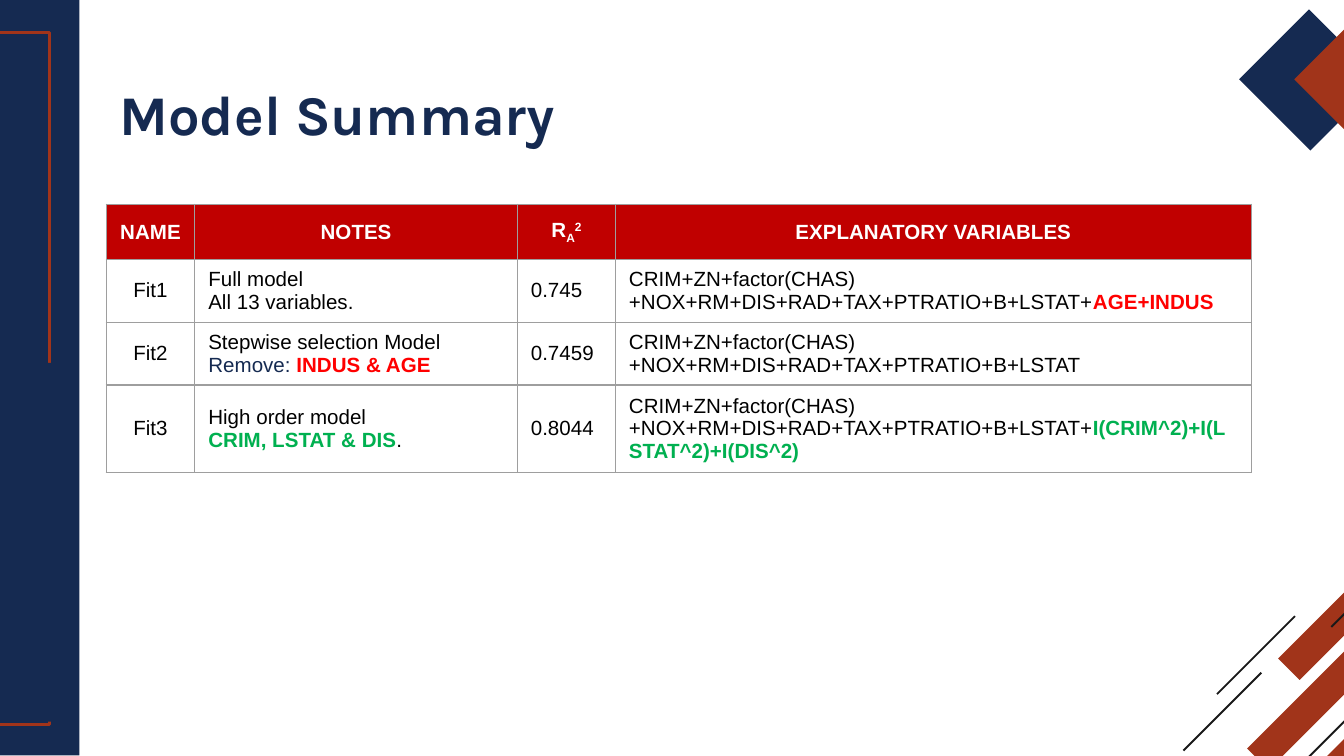
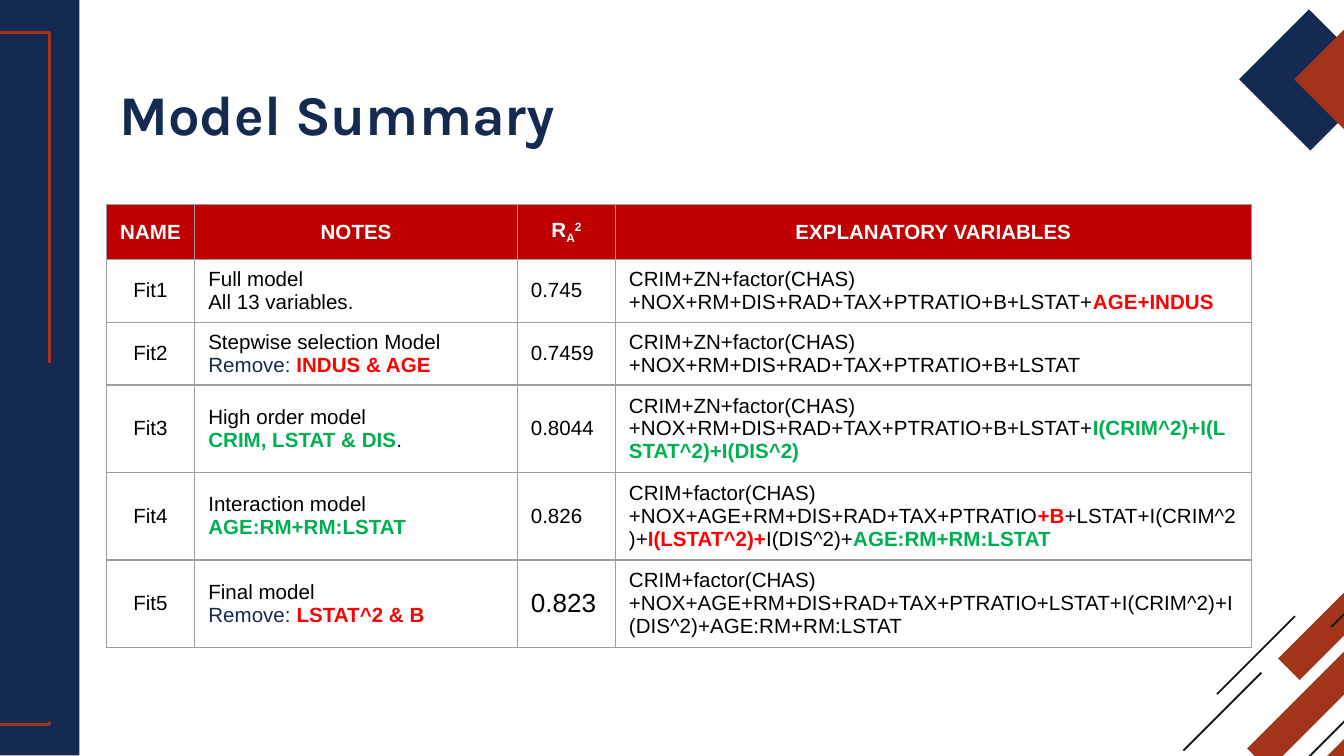
from lxml import etree
from pptx import Presentation
from pptx import util as u
from pptx.dml.color import RGBColor
from pptx.enum import shapes, text
from pptx.oxml.ns import qn

NAVY = RGBColor(0x15, 0x2A, 0x51)
RUST = RGBColor(0xA1, 0x34, 0x1A)
INK = RGBColor(0x19, 0x19, 0x19)
WHITE = RGBColor(0xFF, 0xFF, 0xFF)
BLACK = RGBColor(0, 0, 0)
HEADER_RED = RGBColor(0xC0, 0, 0)
GRID = RGBColor(0x9E, 0x9E, 0x9E)

PLAIN = {}
MUTED = {"color": NAVY}
REMOVED = {"color": RGBColor(0xFF, 0, 0), "bold": True}
ADDED = {"color": RGBColor(0, 0xB0, 0x50), "bold": True}

TITLE = "Model Summary"
HEADER = [
    [[("NAME", PLAIN)]],
    [[("NOTES", PLAIN)]],
    [[("R", PLAIN), ("A", {"baseline": -25}), ("2", {"baseline": 30})]],
    [[("EXPLANATORY VARIABLES", PLAIN)]],
]
BASE_MODEL = "CRIM+ZN+factor(CHAS)+NOX+RM+DIS+RAD+TAX+PTRATIO+B+LSTAT"
AGE_MODEL = "CRIM+factor(CHAS)+NOX+AGE+RM+DIS+RAD+TAX+PTRATIO"
FITS = [
    ("Fit1",
     [[("Full model", PLAIN)], [("All 13 variables.", PLAIN)]],
     ("0.745", PLAIN),
     [(BASE_MODEL + "+", PLAIN), ("AGE+INDUS", REMOVED)]),
    ("Fit2",
     [[("Stepwise selection Model", PLAIN)],
      [("Remove:", MUTED), (" INDUS & AGE", REMOVED)]],
     ("0.7459", PLAIN),
     [(BASE_MODEL, PLAIN)]),
    ("Fit3",
     [[("High order model", PLAIN)],
      [("CRIM, LSTAT & DIS", ADDED), (".", PLAIN)]],
     ("0.8044", PLAIN),
     [(BASE_MODEL + "+", PLAIN), ("I(CRIM^2)+I(LSTAT^2)+I(DIS^2)", ADDED)]),
    ("Fit4",
     [[("Interaction model", PLAIN)], [("AGE:RM+RM:LSTAT", ADDED)]],
     ("0.826", PLAIN),
     [(AGE_MODEL, PLAIN), ("+B", REMOVED), ("+LSTAT+I(CRIM^2)+", PLAIN),
      ("I(LSTAT^2)+", REMOVED), ("I(DIS^2)+", PLAIN), ("AGE:RM+RM:LSTAT", ADDED)]),
    ("Fit5",
     [[("Final model", PLAIN)],
      [("Remove: ", MUTED), ("LSTAT^2 & B", REMOVED)]],
     ("0.823", {"size": 14}),
     [(AGE_MODEL + "+LSTAT+I(CRIM^2)+I(DIS^2)+AGE:RM+RM:LSTAT", PLAIN)]),
]
PAGES = [(FITS[:3], 1.81), (FITS, 2.92)]

COLUMN_WIDTHS = [0.66, 2.4, 0.73, 4.73]
ROW_HEIGHTS = [0.41, 0.41, 0.41, 0.41, 0.41, 0.45]

SIDE_PANELS = [
    (-2.3, 0, 2.89, 5.62, NAVY, None),
    (-2.07, 0.24, 2.44, 5.15, None, RUST),
    (-1.18, 2.7, 1.62, 2.67, NAVY, None),
]
DIAGONALS = [
    (9.51, 4.2, 0.7, 0.16, RUST),
    (9.45, 5.35, 0.7, 0.16, RUST),
    (9.28, 4.03, 1.54, 0.16, RUST),
    (9.9, 4.08, 0.58, 0.01, INK),
    (8.8, 5, 0.58, 0.01, INK),
    (9.05, 4.58, 0.58, 0.01, INK),
    (9.05, 4.9, 1.41, 0.01, INK),
    (9.22, 0.07, 0.52, 0.53, NAVY),
    (9.63, 0.07, 0.52, 0.53, RUST),
]


def write(frame, paragraphs, font="Arial", size=11, color=BLACK, bold=False,
          align=text.PP_ALIGN.LEFT):
    for index, runs in enumerate(paragraphs):
        para = frame.add_paragraph() if index else frame.paragraphs[0]
        para.alignment = align
        for words, style in runs:
            span = para.add_run()
            span.text = words
            span.font.name = font
            span.font.size = u.Pt(style.get("size", size))
            span.font.bold = style.get("bold", bold)
            span.font.color.rgb = style.get("color", color)
            if "baseline" in style:
                span._r.get_or_add_rPr().set("baseline", str(style["baseline"] * 1000))


def paint(shape, fill, line=None):
    shape.shadow.inherit = False
    if fill is None:
        shape.fill.background()
    else:
        shape.fill.solid()
        shape.fill.fore_color.rgb = fill
    if line is None:
        shape.line.fill.background()
    else:
        shape.line.color.rgb = line
        shape.line.width = u.Pt(1.5)


def add_diagonal(page, left, top, run, thick, color):
    corners = [(left, top + run), (left + run, top),
               (left + run + thick, top + thick), (left + thick, top + run + thick)]
    points = [(u.Inches(x), u.Inches(y)) for x, y in corners]
    builder = page.shapes.build_freeform(*points[0])
    builder.add_line_segments(points[1:], close=True)
    paint(builder.convert_to_shape(), color)


def add_frame(page):
    for left, top, width, height, fill, line in SIDE_PANELS:
        panel = page.shapes.add_shape(
            shapes.MSO_SHAPE.RECTANGLE,
            u.Inches(left), u.Inches(top), u.Inches(width), u.Inches(height))
        paint(panel, fill, line)
    for diagonal in DIAGONALS:
        add_diagonal(page, *diagonal)
    box = page.shapes.add_textbox(
        u.Inches(0.79), u.Inches(0.49), u.Inches(8.43), u.Inches(0.63))
    frame = box.text_frame
    frame.word_wrap = True
    frame.margin_left = frame.margin_right = u.Inches(0.1)
    frame.margin_top = frame.margin_bottom = u.Inches(0.1)
    write(frame, [[(TITLE, PLAIN)]], font="Karla", size=30, color=NAVY, bold=True)


def style_cell(cell, fill):
    cell.vertical_anchor = text.MSO_ANCHOR.MIDDLE
    properties = cell._tc.get_or_add_tcPr()
    for side in ("lnL", "lnR", "lnT", "lnB"):
        border = etree.SubElement(properties, qn("a:" + side), w=str(u.Pt(0.75)))
        solid = etree.SubElement(border, qn("a:solidFill"))
        etree.SubElement(solid, qn("a:srgbClr"), val=str(GRID))
    if fill is None:
        cell.fill.background()
    else:
        cell.fill.solid()
        cell.fill.fore_color.rgb = fill


def add_fit_table(page, fits, height):
    rows = [HEADER] + [
        [[[(name, PLAIN)]], notes, [[score]], [variables]]
        for name, notes, score, variables in fits]
    holder = page.shapes.add_table(
        len(rows), len(COLUMN_WIDTHS), u.Inches(0.79), u.Inches(1.52),
        u.Inches(sum(COLUMN_WIDTHS)), u.Inches(height))
    table = holder.table
    table.first_row = table.horz_banding = False
    for column, width in zip(table.columns, COLUMN_WIDTHS):
        column.width = u.Inches(width)
    for r, row in enumerate(rows):
        table.rows[r].height = u.Inches(ROW_HEIGHTS[r])
        for c, paragraphs in enumerate(row):
            cell = table.cell(r, c)
            heading = r == 0
            style_cell(cell, HEADER_RED if heading else None)
            centred = heading or c == 0
            write(cell.text_frame, paragraphs, bold=heading,
                  color=WHITE if heading else BLACK,
                  align=text.PP_ALIGN.CENTER if centred else text.PP_ALIGN.LEFT)
    holder.height = u.Inches(height)


def main():
    deck = Presentation()
    deck.slide_width = u.Inches(10)
    deck.slide_height = deck.slide_width * 9 // 16
    for fits, height in PAGES:
        page = deck.slides.add_slide(deck.slide_layouts[6])
        add_frame(page)
        add_fit_table(page, fits, height)
    deck.save("out.pptx")


if __name__ == "__main__":
    main()
